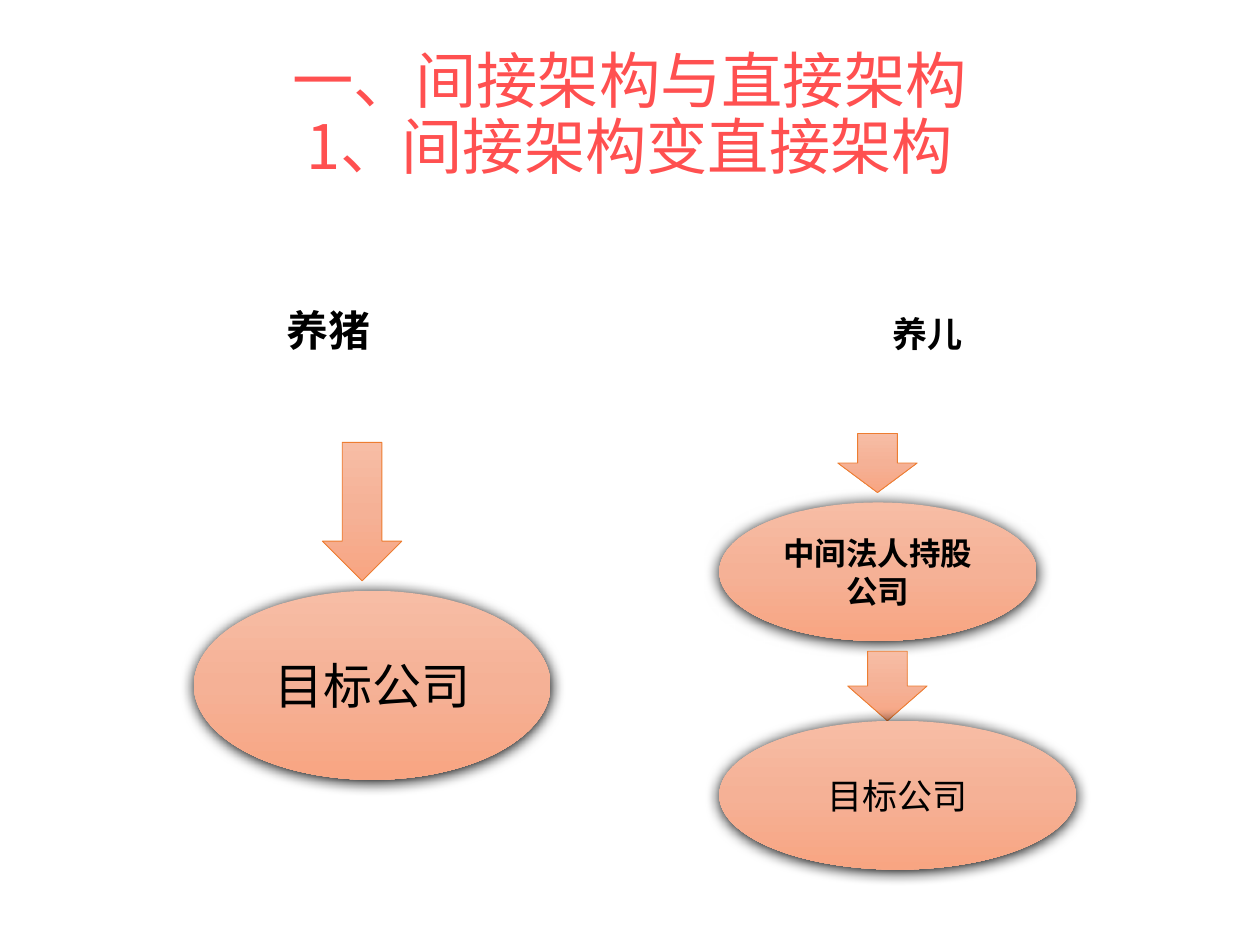
from copy import deepcopy
from dataclasses import dataclass

from lxml.etree import SubElement
from pptx import Presentation
from pptx.dml.color import RGBColor
from pptx.enum.shapes import MSO_SHAPE
from pptx.enum.text import MSO_ANCHOR, PP_ALIGN
from pptx.oxml.ns import qn
from pptx.util import Cm, Pt

TITLE_RED = RGBColor(0xFF, 0x50, 0x50)
BLACK = RGBColor(0x00, 0x00, 0x00)
ORANGE = RGBColor(0xED, 0x7D, 0x31)
GRADIENT = (
    (0, RGBColor(0xF7, 0xBD, 0xA5)),
    (0.5, RGBColor(0xF5, 0xB1, 0x96)),
    (1, RGBColor(0xF8, 0xA5, 0x82)),
)
CHINESE_FONT = "Noto Sans CJK SC"
HEADING_TOP, HEADING_WIDTH, HEADING_HEIGHT = 5.87, 11.63, 1.42
ARROW_WIDTH = 1.6


@dataclass(frozen=True)
class Heading:
    text: str
    left: float
    size: float


@dataclass(frozen=True)
class Company:
    text: str
    left: float
    top: float
    width: float
    height: float
    size: float
    font: str = "Calibri"
    bold: bool = False


@dataclass(frozen=True)
class Arrow:
    left: float
    top: float
    height: float


HEADINGS = (Heading("养猪", 0.81, 24), Heading("养儿", 12.88, 20))

# Back to front
DIAGRAM = (
    Company("目标公司", 3.91, 11.91, 7.19, 3.81, 28),
    Arrow(6.5, 8.92, 2.79),
    Company("中间法人持股公司", 14.5, 10.13, 6.4, 2.79, 18, "Cabin", True),
    Arrow(17.09, 13.13, 1.4),
    Company("目标公司", 14.5, 14.53, 7.19, 3, 20),
    Arrow(16.89, 8.74, 1.19),
)


def add_run(paragraph, text: str, size: float, font: str, color: RGBColor, bold=False) -> None:
    run = paragraph.add_run()
    run.text = text
    run.font.size = Pt(size)
    run.font.name = font
    run.font.bold = bold
    run.font.color.rgb = color
    latin = run.font._element.find(qn("a:latin"))
    east_asian = deepcopy(latin)
    east_asian.tag = qn("a:ea")
    east_asian.set("typeface", CHINESE_FONT)
    latin.addnext(east_asian)


def fill_gradient(shape) -> None:
    shape.fill.gradient()
    shape.fill.gradient_angle = 270
    stop_list = shape._element.spPr.find(qn("a:gradFill")).find(qn("a:gsLst"))
    stop_list.insert(1, deepcopy(stop_list[0]))
    for stop, (position, color) in zip(shape.fill.gradient_stops, GRADIENT):
        stop.position = position
        stop.color.rgb = color


def add_soft_shadow(shape) -> None:
    effects = shape._element.spPr.find(qn("a:effectLst"))
    shadow = SubElement(effects, qn("a:outerShdw"), blurRad=str(Pt(8.5)),
                        dist=str(Pt(1)), dir="5400000", algn="ctr", rotWithShape="0")
    SubElement(shadow, qn("a:srgbClr"), val=str(BLACK))


def add_title(slide) -> None:
    title = slide.shapes.title
    title.left, title.top, title.width, title.height = Cm(1.27), Cm(0.76), Cm(22.86), Cm(3.18)
    frame = title.text_frame
    frame.margin_left = frame.margin_right = frame.margin_top = frame.margin_bottom = 0
    frame.vertical_anchor = MSO_ANCHOR.MIDDLE
    paragraph = frame.paragraphs[0]
    paragraph.alignment = PP_ALIGN.CENTER
    paragraph.line_spacing = 0.9
    add_run(paragraph, "一、间接架构与直接架构", 35, CHINESE_FONT, TITLE_RED)
    paragraph.add_line_break()
    add_run(paragraph, "1、间接架构变直接架构", 35, CHINESE_FONT, TITLE_RED)


def add_heading(slide, heading: Heading) -> None:
    box = slide.shapes.add_textbox(Cm(heading.left), Cm(HEADING_TOP),
                                   Cm(HEADING_WIDTH), Cm(HEADING_HEIGHT))
    frame = box.text_frame
    frame.word_wrap = True
    frame.vertical_anchor = MSO_ANCHOR.BOTTOM
    paragraph = frame.paragraphs[0]
    paragraph.alignment = PP_ALIGN.CENTER
    paragraph.line_spacing = 0.9
    add_run(paragraph, heading.text, heading.size, "Calibri", BLACK, bold=True)


def add_company(slide, company: Company) -> None:
    shape = slide.shapes.add_shape(MSO_SHAPE.OVAL, Cm(company.left), Cm(company.top),
                                   Cm(company.width), Cm(company.height))
    shape.shadow.inherit = False
    fill_gradient(shape)
    shape.line.fill.background()
    add_soft_shadow(shape)
    frame = shape.text_frame
    frame.word_wrap = True
    frame.vertical_anchor = MSO_ANCHOR.MIDDLE
    paragraph = frame.paragraphs[0]
    paragraph.alignment = PP_ALIGN.CENTER
    add_run(paragraph, company.text, company.size, company.font, BLACK, company.bold)


def add_arrow(slide, arrow: Arrow) -> None:
    shape = slide.shapes.add_shape(MSO_SHAPE.DOWN_ARROW, Cm(arrow.left), Cm(arrow.top),
                                   Cm(ARROW_WIDTH), Cm(arrow.height))
    shape.shadow.inherit = False
    fill_gradient(shape)
    shape.line.color.rgb = ORANGE
    shape.line.width = Pt(0.5)


def main() -> None:
    presentation = Presentation()
    presentation.slide_width, presentation.slide_height = Cm(25.4), Cm(19.05)
    slide = presentation.slides.add_slide(presentation.slide_layouts[5])

    # Title and column headings
    add_title(slide)
    for heading in HEADINGS:
        add_heading(slide, heading)

    # Holding structures
    for item in DIAGRAM:
        if isinstance(item, Company):
            add_company(slide, item)
        else:
            add_arrow(slide, item)

    presentation.save("out.pptx")


if __name__ == "__main__":
    main()
